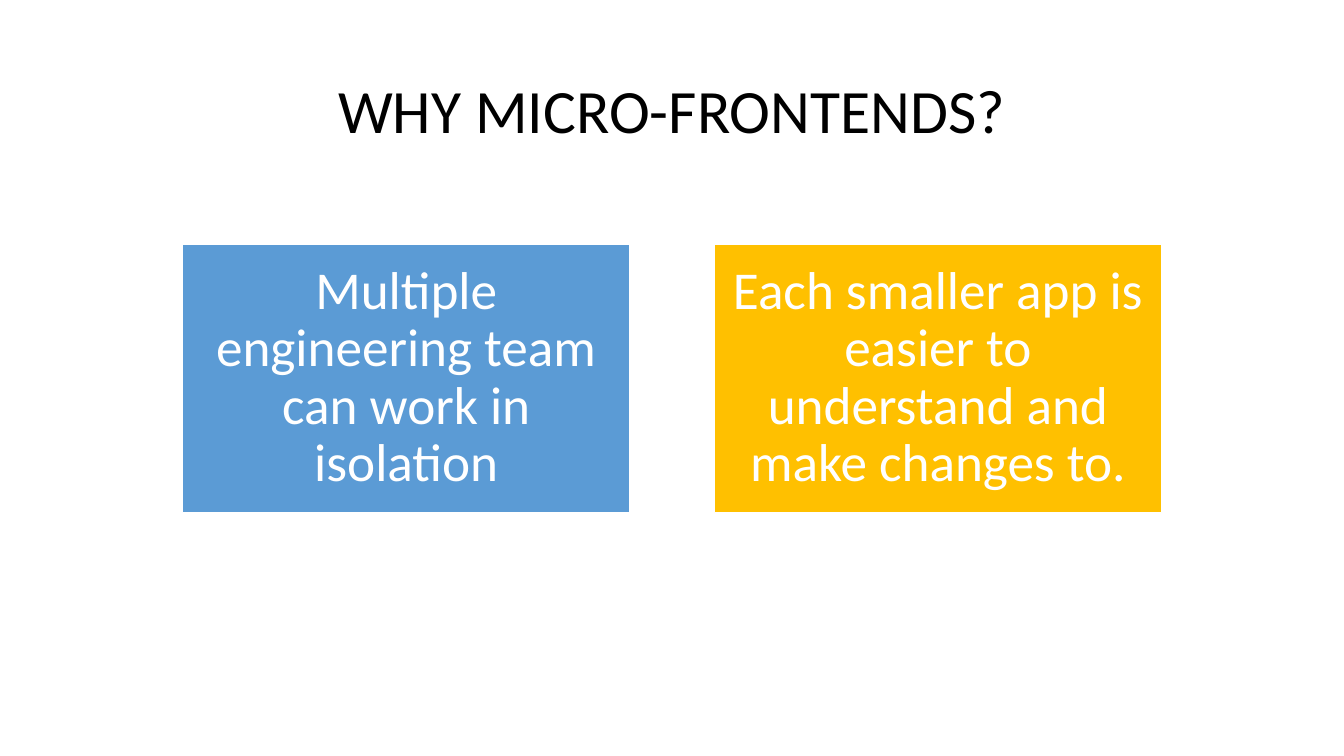
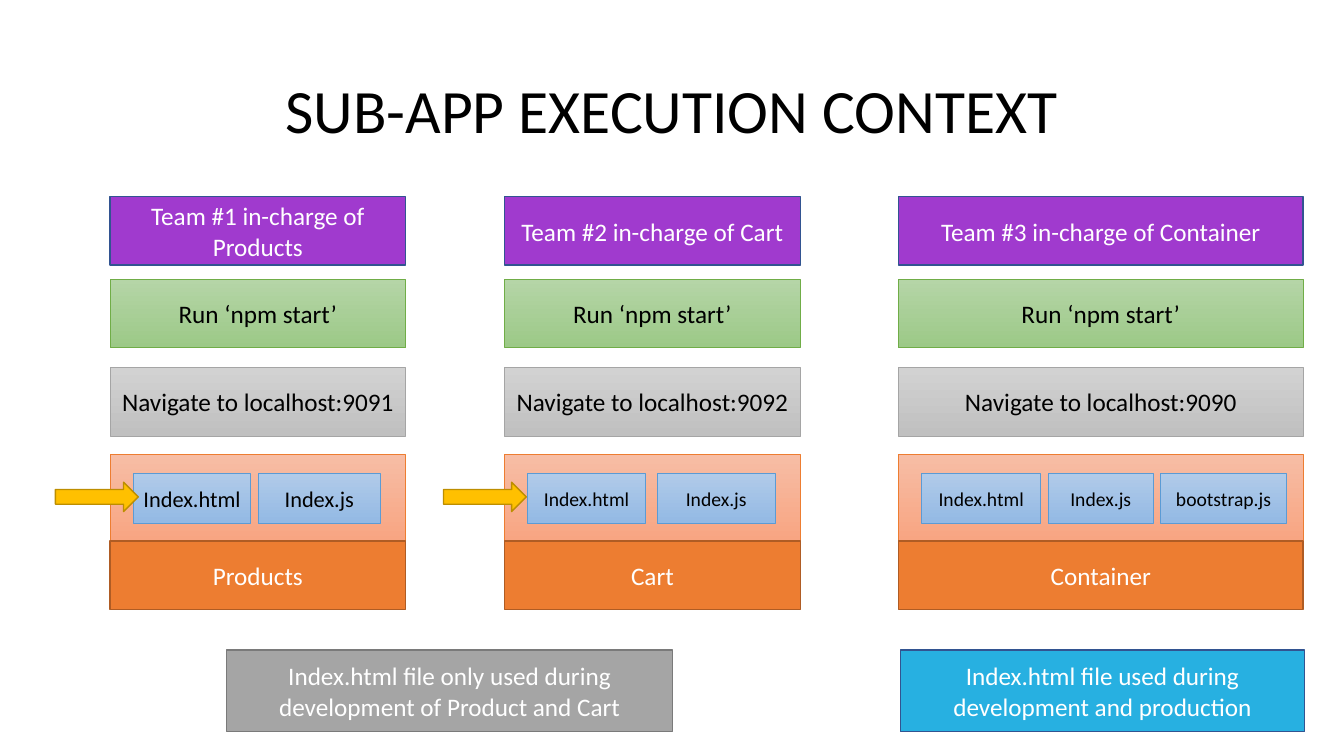
"""Build two slides on micro-frontends: the reasons for them and how each sub-app runs."""
from collections import namedtuple
from dataclasses import dataclass

from pptx import Presentation
from pptx.dml.color import RGBColor
from pptx.enum.shapes import MSO_SHAPE
from pptx.enum.text import MSO_ANCHOR, PP_ALIGN
from pptx.util import Pt

RECTANGLE = MSO_SHAPE.RECTANGLE
RIGHT_ARROW = MSO_SHAPE.RIGHT_ARROW
CENTER = PP_ALIGN.CENTER
MIDDLE = MSO_ANCHOR.MIDDLE
TITLE_ONLY = 5

Style = namedtuple("Style", "fills line weight ink", defaults=(1, "FFFFFF"))
Column = namedtuple("Column", "left width team port app file_size file_gap files arrow_left")


@dataclass(frozen=True)
class Theme:
    font: str = "Calibri"
    ink: str = "000000"
    title_size: float = 44
    reason_size: float = 38
    body_size: float = 18
    isolation: Style = Style(["5B9BD5"], "FFFFFF")
    simplicity: Style = Style(["FFC000"], "FFFFFF")
    team: Style = Style(["A03ACE"], "325491")
    command: Style = Style(["B5D5A7", "9CC987"], "70AD47", 0.5, "000000")
    address: Style = Style(["D2D2D2", "C0C0C0"], "A5A5A5", 0.5, "000000")
    bundle: Style = Style(["F7BDA5", "F8A582"], "ED7D31", 0.5)
    app: Style = Style(["ED7D31"], "AF5C24")
    file: Style = Style(["B1CBE9", "93B9E4"], "5B9BD5", 0.5, "000000")
    arrow: Style = Style(["FFC000"], "BD8E00")
    development: Style = Style(["A5A5A5"], "7A7A7A")
    production: Style = Style(["27B0E1"], "325491")


THEME = Theme()


def write(shape, text, size=THEME.body_size, color=THEME.ink, spacing=1.0, inset=None):
    frame = shape.text_frame
    frame.word_wrap = True
    frame.vertical_anchor = MIDDLE
    if inset is not None:
        frame.margin_left = frame.margin_right = Pt(inset)
        frame.margin_top = frame.margin_bottom = Pt(inset)
    paragraph = frame.paragraphs[0]
    paragraph.alignment = CENTER
    paragraph.line_spacing = spacing
    run = paragraph.add_run()
    run.text = text
    run.font.name = THEME.font
    run.font.size = Pt(size)
    run.font.color.rgb = RGBColor.from_string(color)


def draw(slide, style, left, top, width, height, text="", preset=RECTANGLE, **text_format):
    shape = slide.shapes.add_shape(preset, Pt(left), Pt(top), Pt(width), Pt(height))
    shape.shadow.inherit = False
    if len(style.fills) == 1:
        shape.fill.solid()
        shape.fill.fore_color.rgb = RGBColor.from_string(style.fills[0])
    else:
        shape.fill.gradient()
        shape.fill.gradient_angle = 270
        for stop, color in zip(shape.fill.gradient_stops, style.fills):
            stop.color.rgb = RGBColor.from_string(color)
    shape.line.color.rgb = RGBColor.from_string(style.line)
    shape.line.width = Pt(style.weight)
    if text:
        write(shape, text, color=style.ink, **text_format)


deck = Presentation()
deck.slide_width, deck.slide_height = Pt(960), Pt(540)

slides = []
for heading in ("WHY MICRO-FRONTENDS?", "SUB-APP EXECUTION CONTEXT"):
    slide = deck.slides.add_slide(deck.slide_layouts[TITLE_ONLY])
    title = slide.shapes.title
    title.left, title.top, title.width, title.height = Pt(66), Pt(28.8), Pt(828), Pt(104.4)
    write(title, heading, size=THEME.title_size, spacing=0.9)
    slides.append(slide)
reasons_slide, context_slide = slides

reasons = [
    (THEME.isolation, "Multiple engineering team can work in isolation"),
    (THEME.simplicity, "Each smaller app is easier to understand and make changes to."),
]
for index, (style, reason) in enumerate(reasons):
    draw(reasons_slide, style, 130.4 + index * 379.8, 174.2, 319.6, 191.8, reason,
         size=THEME.reason_size, spacing=0.9, inset=11.4)

columns = [
    Column(78.6, 211.2, "Team #1 in-charge of Products", 9091, "Products", 16, 5.4,
           [("Index.html", 84), ("Index.js", 87)], 39.6),
    Column(360.4, 211.2, "Team #2 in-charge of Cart", 9092, "Cart", 14, 8.6,
           [("Index.html", 84), ("Index.js", 84)], 316.8),
    Column(641.8, 289, "Team #3 in-charge of Container", 9090, "Container", 14, 5.4,
           [("Index.html", 85), ("Index.js", 75), ("bootstrap.js", 89.6)], None),
]
for column in columns:
    rows = [
        (THEME.team, 140.6, 48.8, column.team),
        (THEME.command, 199.6, 48.8, "Run ‘npm start’"),
        (THEME.address, 262.6, 48.8, f"Navigate to localhost:{column.port}"),
        (THEME.bundle, 324.8, 61.4, ""),
        (THEME.app, 386.4, 48.8, column.app),
    ]
    for style, top, height, label in rows:
        draw(context_slide, style, column.left, top, column.width, height, label)

    file_left = column.left + 16.6
    for file_name, file_width in column.files:
        draw(context_slide, THEME.file, file_left, 338, file_width, 36, file_name,
             size=column.file_size)
        file_left += file_width + column.file_gap

    if column.arrow_left is not None:
        draw(context_slide, THEME.arrow, column.arrow_left, 344.4, 59.2, 21, preset=RIGHT_ARROW)

usages = [
    (THEME.development, 162, 318.4,
     "Index.html file only used during development of Product and Cart"),
    (THEME.production, 643, 289,
     "Index.html file used during development and production"),
]
for style, left, width, usage in usages:
    draw(context_slide, style, left, 464.4, width, 58.2, usage)

deck.save("out.pptx")
